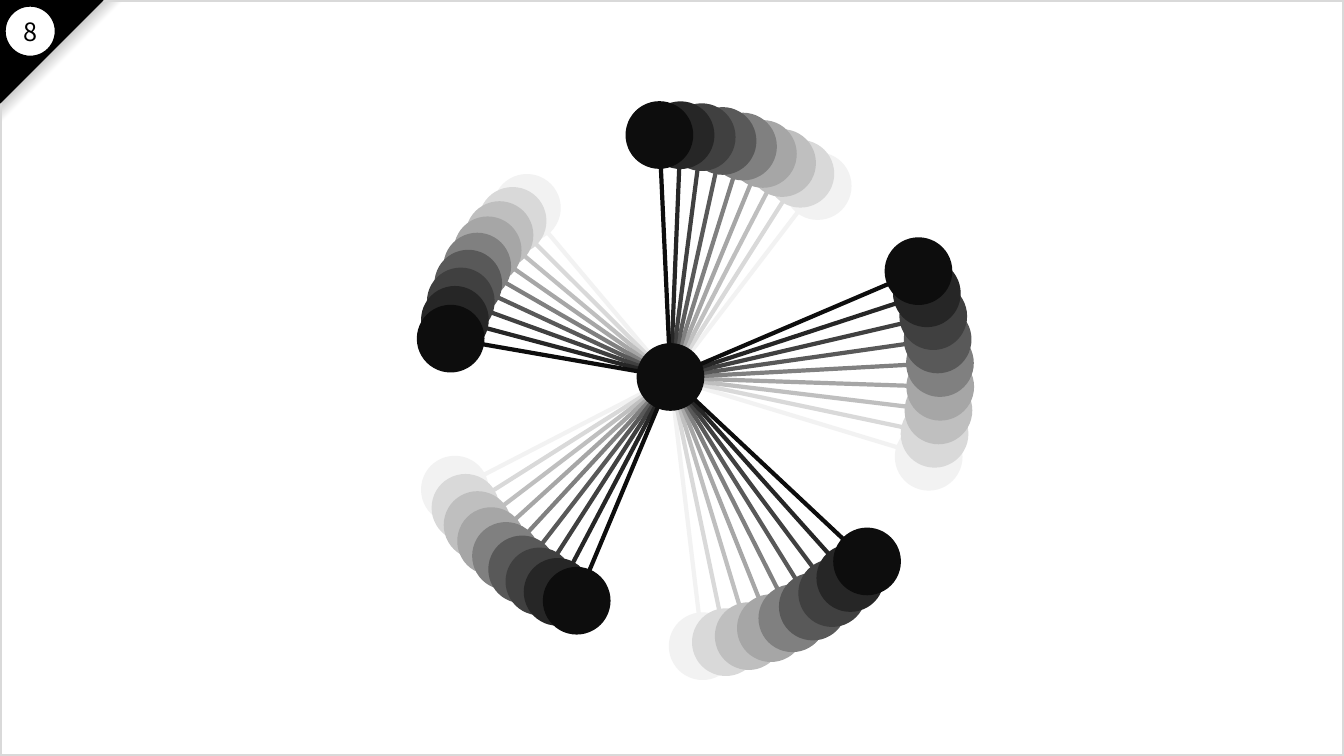
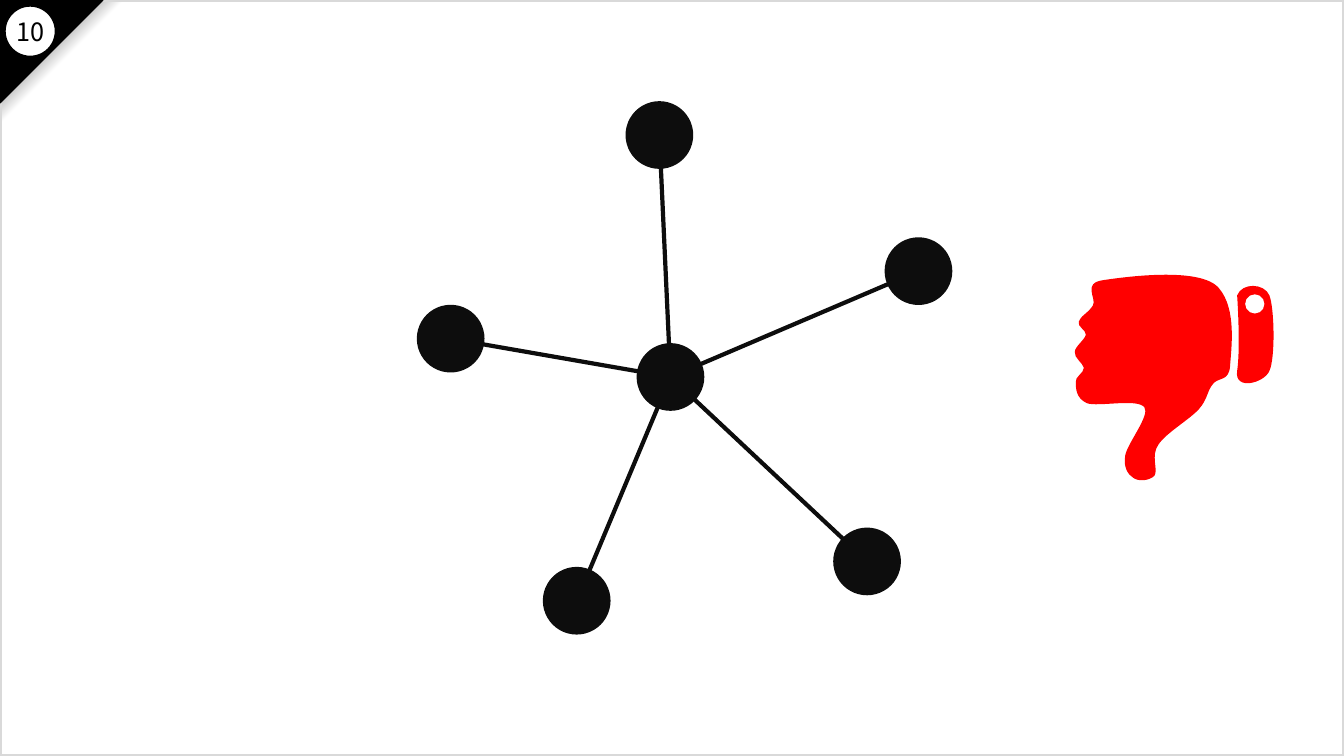
import math

import pptx
import pptx.dml.color
import pptx.enum.shapes
import pptx.enum.text
import pptx.oxml
import pptx.oxml.ns
import pptx.util

Inches = pptx.util.Inches
SHAPE = pptx.enum.shapes.MSO_SHAPE
qn, nsdecls = pptx.oxml.ns.qn, pptx.oxml.ns.nsdecls

SLIDE_WIDTH, SLIDE_HEIGHT = 13.33, 7.5
COLORS = {
    "black": "000000",
    "white": "FFFFFF",
    "frame": "D9D9D9",
    "shadow": "808080",
    "wheel": "0D0D0D",
    "thumb": "FF0000",
}
# Each shade is one step further back along the turn of the wheel.
TRAIL = ["262626", "404040", "595959", "808080", "A6A6A6", "BFBFBF", "D9D9D9", "F2F2F2"]
STEP_DEGREES = 5

HUB = (6.65, 3.74)
PIVOT = (6.63, 3.75)
RIM_NODES = [(5.72, 5.96), (8.6, 5.57), (9.11, 2.69), (6.54, 1.34), (4.47, 3.36)]
NODE_SIZE = 0.63

# Outlines: a start point, then cubic curves (two control points and an end).
HAND = (12.2, 3.63), [
    (12.19, 3.79, 12.08, 3.74, 12.03, 3.81),
    (11.97, 3.88, 11.98, 3.96, 11.89, 4.06),
    (11.8, 4.16, 11.56, 4.3, 11.49, 4.41),
    (11.41, 4.52, 11.49, 4.66, 11.45, 4.72),
    (11.4, 4.77, 11.29, 4.78, 11.24, 4.74),
    (11.19, 4.71, 11.14, 4.64, 11.16, 4.52),
    (11.18, 4.4, 11.41, 4.12, 11.35, 4.04),
    (11.28, 3.95, 10.89, 4.04, 10.78, 4),
    (10.67, 3.95, 10.67, 3.85, 10.67, 3.79),
    (10.66, 3.74, 10.75, 3.7, 10.75, 3.65),
    (10.74, 3.6, 10.65, 3.55, 10.66, 3.49),
    (10.66, 3.44, 10.76, 3.37, 10.77, 3.32),
    (10.77, 3.27, 10.68, 3.24, 10.7, 3.19),
    (10.71, 3.14, 10.8, 3.1, 10.84, 3.03),
    (10.88, 2.96, 10.73, 2.81, 10.94, 2.78),
    (11.14, 2.75, 11.91, 2.64, 12.09, 2.86),
    (12.27, 3.07, 12.21, 3.47, 12.2, 3.63),
]
CUFF = (12.59, 3.68), [
    (12.65, 3.55, 12.64, 3.06, 12.59, 2.93),
    (12.54, 2.81, 12.32, 2.8, 12.27, 2.93),
    (12.28, 3.08, 12.3, 3.48, 12.27, 3.68),
    (12.24, 3.88, 12.54, 3.8, 12.59, 3.68),
]


def rgb(color):
    return pptx.dml.color.RGBColor.from_string(color)


def turn(point, degrees):
    """Turn a point clockwise about the pivot."""
    dx, dy = point[0] - PIVOT[0], point[1] - PIVOT[1]
    cos, sin = math.cos(math.radians(degrees)), math.sin(math.radians(degrees))
    return PIVOT[0] + dx * cos - dy * sin, PIVOT[1] + dx * sin + dy * cos


class Deck:
    """Holds the shared style and the slide being drawn."""

    font = "Noto Sans CJK JP"
    number_size = 18

    def __init__(self):
        self.presentation = pptx.Presentation()
        self.presentation.slide_width = Inches(SLIDE_WIDTH)
        self.presentation.slide_height = Inches(SLIDE_HEIGHT)
        self.blank = self.presentation.slide_layouts[6]
        self.slide = None

    def new_slide(self, number):
        first = self.slide is None
        self.slide = self.presentation.slides.add_slide(self.blank)
        if first:
            self.furnish_layout()
        self.page_number(number)

    def furnish_layout(self):
        """Draw the frame and corner once and move them to the layout."""
        for placeholder in list(self.blank.placeholders):
            placeholder.element.getparent().remove(placeholder.element)
        self.corner_shadow(1.23)
        self.shape(SHAPE.RECTANGLE, 0, 0, SLIDE_WIDTH, SLIDE_HEIGHT,
                   line=COLORS["frame"])
        corner = self.shape(SHAPE.RIGHT_TRIANGLE, 0, 0, 1.02, 1.02,
                            COLORS["black"], COLORS["black"], 1)
        corner.rotation = 90
        self.shape(SHAPE.OVAL, 0.05, 0.06, 0.5, 0.5,
                   COLORS["white"], COLORS["black"], 1)
        for part in list(self.slide.shapes):
            self.blank.shapes.element.append(part.element)

    def style(self, shape, fill=None, line=None, line_width=3):
        shape.shadow.inherit = False
        if fill:
            shape.fill.solid()
            shape.fill.fore_color.rgb = rgb(fill)
        else:
            shape.fill.background()
        if line:
            shape.line.color.rgb = rgb(line)
            shape.line.width = pptx.util.Pt(line_width)
        else:
            shape.line.fill.background()
        return shape

    def shape(self, kind, left, top, width, height, fill=None, line=None,
              line_width=3, group=None):
        parent = group or self.slide
        shape = parent.shapes.add_shape(
            kind, Inches(left), Inches(top), Inches(width), Inches(height))
        return self.style(shape, fill, line, line_width)

    def corner_shadow(self, size):
        """Draw the soft edge that shows beside the black corner."""
        shadow = self.shape(SHAPE.RIGHT_TRIANGLE, 0, 0, size, size)
        shadow.rotation = 90
        shadow.fill.gradient()
        shadow.fill.gradient_angle = 225
        stops = shadow.element.spPr.find(".//" + qn("a:gsLst"))
        for stop in list(stops):
            stops.remove(stop)
        for percent, name in ((0, "white"), (50, "white"), (70, "shadow"), (100, "black")):
            stops.append(pptx.oxml.parse_xml(
                f'<a:gs {nsdecls("a")} pos="{percent * 1000}">'
                f'<a:srgbClr val="{COLORS[name]}"/></a:gs>'))

    def page_number(self, number):
        box = self.slide.shapes.add_textbox(
            Inches(0.05), Inches(0.11), Inches(0.5), Inches(0.4))
        frame = box.text_frame
        frame.word_wrap = False
        frame.auto_size = pptx.enum.text.MSO_AUTO_SIZE.SHAPE_TO_FIT_TEXT
        paragraph = frame.paragraphs[0]
        paragraph.text = str(number)
        paragraph.alignment = pptx.enum.text.PP_ALIGN.CENTER
        paragraph.font.name = self.font
        paragraph.font.size = pptx.util.Pt(self.number_size)
        paragraph.font.color.rgb = rgb(COLORS["black"])

    def node(self, group, center, color):
        x, y = center
        self.shape(SHAPE.OVAL, x - NODE_SIZE / 2, y - NODE_SIZE / 2,
                   NODE_SIZE, NODE_SIZE, color, color, group=group)

    def spoke(self, group, start, end, color):
        spoke = group.shapes.add_connector(
            pptx.enum.shapes.MSO_CONNECTOR.STRAIGHT,
            *(Inches(value) for value in (*start, *end)))
        spoke.line.color.rgb = rgb(color)
        spoke.line.width = pptx.util.Pt(3)
        spoke.element.spPr.append(pptx.oxml.parse_xml(f'<a:effectLst {nsdecls("a")}/>'))

    def wheel(self, color, degrees=0):
        """Draw the wheel; only the unturned one shows its hub."""
        group = self.slide.shapes.add_group_shape()
        hub = turn(HUB, degrees)
        rim = [turn(point, degrees) for point in RIM_NODES]
        for center in rim if degrees else [hub, *rim]:
            self.node(group, center, color)
        for center in rim:
            self.spoke(group, center, hub, color)

    def outline(self, group, start, curves, fill):
        """Draw a closed outline of cubic curves."""
        points = [(Inches(curve[i]), Inches(curve[i + 1]))
                  for curve in curves for i in (0, 2, 4)]
        builder = group.shapes.build_freeform(Inches(start[0]), Inches(start[1]))
        builder.add_line_segments(points, close=True)
        shape = self.style(builder.convert_to_shape(), fill)
        segments = list(shape.element.spPr.iter(qn("a:lnTo")))
        for first in range(0, len(segments), 3):
            curve = pptx.oxml.parse_xml(f'<a:cubicBezTo {nsdecls("a")}/>')
            segments[first].addprevious(curve)
            for segment in segments[first:first + 3]:
                curve.append(segment[0])
                segment.getparent().remove(segment)

    def thumb_down(self):
        group = self.slide.shapes.add_group_shape()
        for start, curves in (HAND, CUFF):
            self.outline(group, start, curves, COLORS["thumb"])
        self.shape(SHAPE.OVAL, 12.35, 2.92, 0.19, 0.19, COLORS["white"], group=group)


def main():
    deck = Deck()

    deck.new_slide(8)
    for steps in range(len(TRAIL), 0, -1):
        deck.wheel(TRAIL[steps - 1], STEP_DEGREES * steps)
    deck.wheel(COLORS["wheel"])

    deck.new_slide(10)
    deck.wheel(COLORS["wheel"])
    deck.thumb_down()

    deck.presentation.save("out.pptx")


if __name__ == "__main__":
    main()
